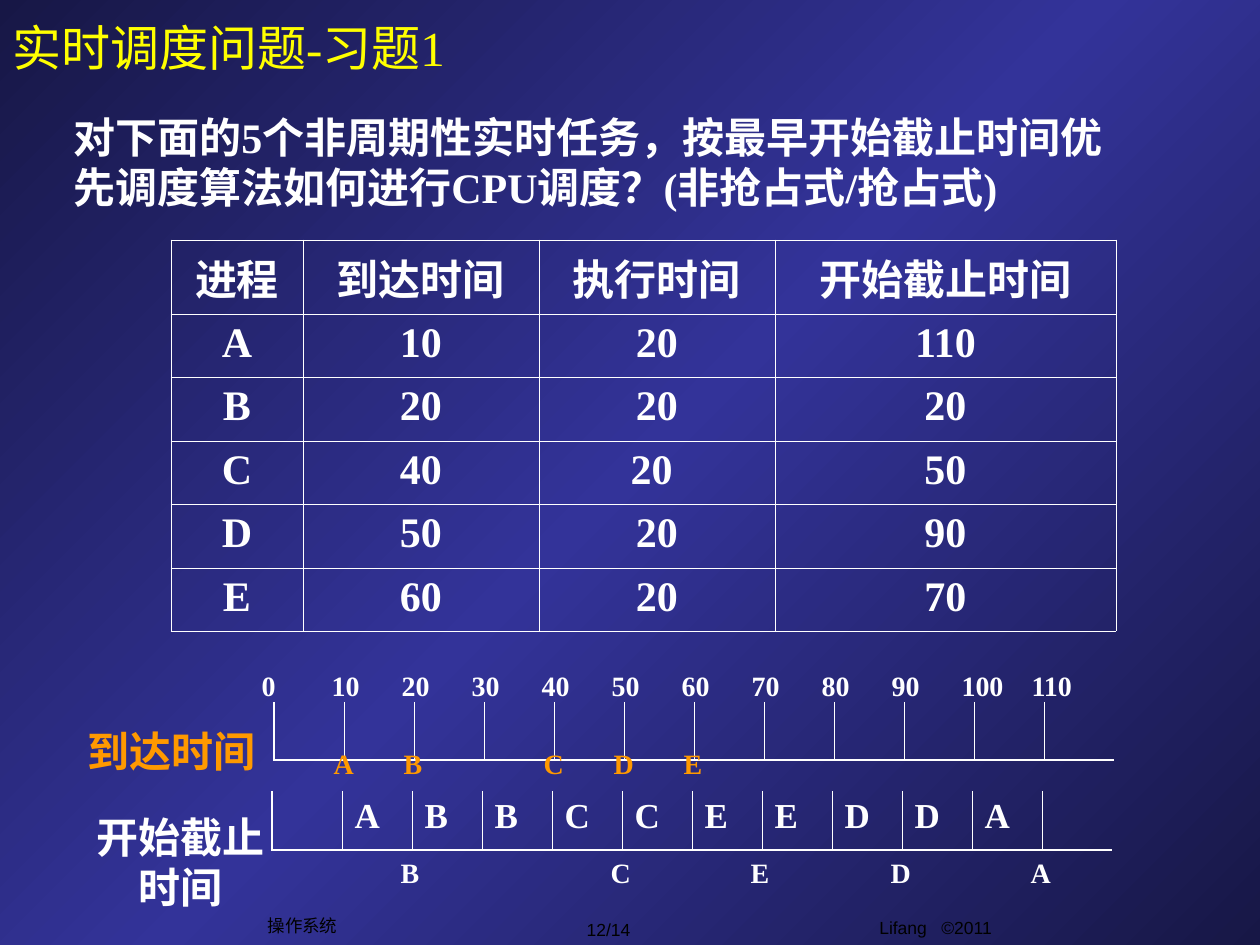
from copy import deepcopy

from lxml import etree
from pptx import Presentation
from pptx import util as u
from pptx.dml.color import RGBColor
from pptx.enum import text
from pptx.oxml.ns import qn

NAVY = RGBColor(0x17, 0x17, 0x46)
BLUE = RGBColor(0x33, 0x33, 0x99)
WHITE = RGBColor(0xFF, 0xFF, 0xFF)
YELLOW = RGBColor(0xFF, 0xFF, 0x00)
ORANGE = RGBColor(0xFF, 0x99, 0x00)
BLACK = RGBColor(0x00, 0x00, 0x00)

EMU_PER_PX = 914400 / 126
NO_GRID_STYLE = "{2D5ABB26-0587-4C30-8999-92F81FD0307C}"
SIDES = {"l": "a:lnL", "r": "a:lnR", "t": "a:lnT", "b": "a:lnB"}
THIN, THICK = 0.45, 1.08
STEP, TICKS = 70, 12

LEFT = text.PP_ALIGN.LEFT
CENTER = text.PP_ALIGN.CENTER
TOP = text.MSO_ANCHOR.TOP
MIDDLE = text.MSO_ANCHOR.MIDDLE


def px(length):
    return u.Emu(round(length * EMU_PER_PX))


def write(frame, words, size=24, color=WHITE, bold=True, align=LEFT,
          font="Times New Roman"):
    paragraph = frame.paragraphs[0]
    paragraph.alignment = align
    run = paragraph.add_run()
    run.text = words
    run.font.name = font
    run.font.size = u.Pt(size)
    run.font.bold = bold
    run.font.color.rgb = color


def set_borders(cell, widths):
    """Draw the sides given in widths (points) and clear the others."""
    properties = cell._tc.get_or_add_tcPr()
    for side, tag in SIDES.items():
        line = etree.SubElement(properties, qn(tag))
        if side in widths:
            line.set("w", str(u.Pt(widths[side])))
            fill = etree.SubElement(line, qn("a:solidFill"))
            etree.SubElement(fill, qn("a:srgbClr")).set("val", str(WHITE))
        else:
            etree.SubElement(line, qn("a:noFill"))


class SlideBuilder:
    def __init__(self, presentation):
        self.slide = presentation.slides.add_slide(presentation.slide_layouts[5])

    def background(self, edge, middle):
        fill = self.slide.background.fill
        fill.gradient()
        fill.gradient_angle = 135
        for stop in fill.gradient_stops:
            stop.color.rgb = edge
        stops = next(self.slide.element.iter(qn("a:gsLst")))
        stops.insert(1, deepcopy(stops[0]))
        for stop, color, position in zip(fill.gradient_stops,
                                         (edge, middle, edge), (0, 0.5, 1)):
            stop.color.rgb = color
            stop.position = position

    def title(self, words, x, y, width, height):
        shape = self.slide.shapes.title
        shape.left, shape.top = px(x), px(y)
        shape.width, shape.height = px(width), px(height)
        frame = shape.text_frame
        frame.auto_size = text.MSO_AUTO_SIZE.NONE
        frame.vertical_anchor = MIDDLE
        write(frame, words, size=28, color=YELLOW, bold=False)

    def text(self, words, x, y, width, height, anchor=TOP, wrap=True, **style):
        shape = self.slide.shapes.add_textbox(px(x), px(y), px(width), px(height))
        frame = shape.text_frame
        frame.word_wrap = wrap
        frame.vertical_anchor = anchor
        write(frame, words, **style)

    def table(self, rows, x, y, widths, heights, borders, **style):
        """Build a table; borders(column) gives the line widths of a cell."""
        frame = self.slide.shapes.add_table(
            len(rows), len(widths), px(x), px(y), px(sum(widths)), px(sum(heights)))
        table = frame.table
        table.first_row = table.horz_banding = False
        next(table._tbl.iter(qn("a:tableStyleId"))).text = NO_GRID_STYLE
        for column, width in zip(table.columns, widths):
            column.width = px(width)
        for row, height in zip(table.rows, heights):
            row.height = px(height)
        for row, words in zip(table.rows, rows):
            for index, (cell, word) in enumerate(zip(row.cells, words)):
                set_borders(cell, borders(index))
                cell.fill.background()
                if word:
                    write(cell.text_frame, word, **style)

    def timeline(self, marks, x, y, height, ticks=False, **style):
        """Place marks, a dict of time to word, on a scale of tens."""
        def borders(index):
            if not ticks:
                return {}
            sides = {"l": THIN if index else THICK, "b": THICK}
            if index < TICKS - 1:
                sides["r"] = THIN
            return sides

        words = [marks.get(index * 10, "") for index in range(TICKS)]
        self.table([words], x, y, [STEP] * TICKS, [height], borders, **style)


def main():
    presentation = Presentation()
    presentation.slide_width, presentation.slide_height = px(1260), px(945)
    builder = SlideBuilder(presentation)
    builder.background(NAVY, BLUE)

    # Footer
    footer = dict(size=10, color=BLACK, bold=False, align=CENTER, font="Arial")
    builder.text("Lifang   ©2011", 736, 911, 399, 34, **footer)
    builder.text("12/14", 544, 912, 129, 34, anchor=MIDDLE, wrap=False, **footer)
    builder.text("操作系统", 255, 908, 95, 34, anchor=MIDDLE, wrap=False, **footer)

    # Title and question
    builder.title("实时调度问题-习题1", 0, 0, 1072, 94)
    builder.text("对下面的5个非周期性实时任务，按最早开始截止时间优先调度算法"
                 "如何进行CPU调度？(非抢占式/抢占式)",
                 61, 103, 1086, 117, anchor=MIDDLE)

    # Tasks
    tasks = [
        ("进程", "到达时间", "执行时间", "开始截止时间"),
        ("A", "10", "20", "110"),
        ("B", "20", "20", "20"),
        ("C", "40", "20 ", "50"),
        ("D", "50", "20", "90"),
        ("E", "60", "20", "70"),
    ]
    builder.table(tasks, 171, 240, [132, 236, 236, 341], [74, 63, 64, 63, 64, 63],
                  lambda index: dict.fromkeys(SIDES, THIN), align=CENTER)

    # Time scale with arrivals
    builder.timeline({}, 274, 702, 58, ticks=True)
    builder.timeline({time: str(time) for time in range(0, 120, 10)},
                     249, 665, 47, size=16)

    # Schedule, arrivals and start deadlines
    schedule = {time: task for time, task in zip(range(10, 110, 10), "ABBCCEEDDA")}
    builder.timeline(schedule, 272, 791, 59, ticks=True, size=20)
    arrivals = {int(arrival): task for task, arrival, _, _ in tasks[1:]}
    builder.timeline(arrivals, 251, 743, 47, size=16, color=ORANGE)
    deadlines = {int(deadline): task for task, _, _, deadline in tasks[1:]}
    builder.timeline(deadlines, 248, 852, 47, size=16)

    # Row labels
    builder.text("到达时间", 72, 719, 200, 63, color=ORANGE, align=CENTER)
    builder.text("开始截止时间", 82, 805, 197, 113, align=CENTER)

    presentation.save("out.pptx")


if __name__ == "__main__":
    main()
